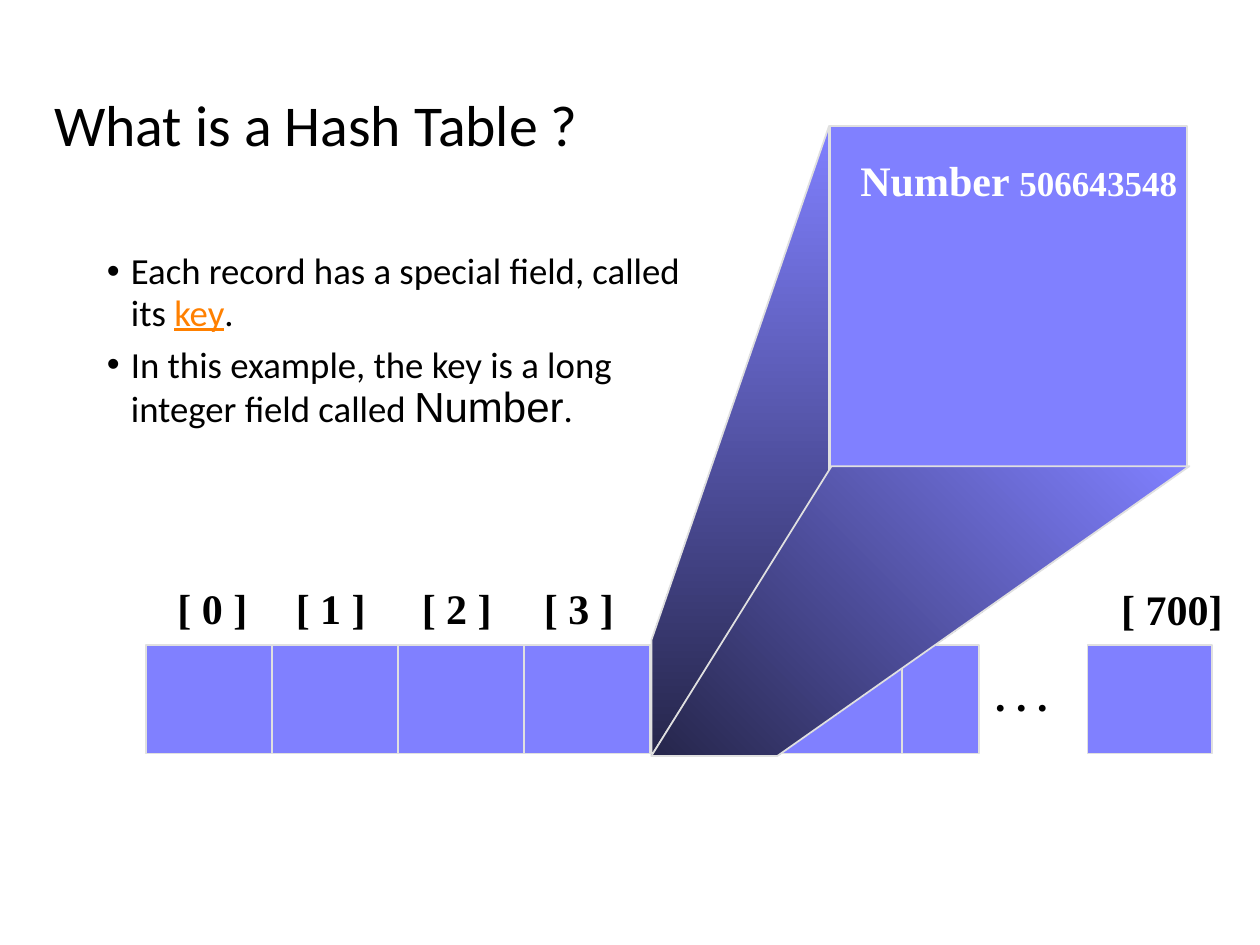
from lxml import etree
from pptx import Presentation
from pptx.dml.color import RGBColor
from pptx.enum.shapes import MSO_CONNECTOR, MSO_SHAPE
from pptx.enum.text import MSO_ANCHOR, MSO_AUTO_SIZE, PP_ALIGN
from pptx.oxml.ns import qn
from pptx.util import Inches, Pt

RECT, STRAIGHT = MSO_SHAPE.RECTANGLE, MSO_CONNECTOR.STRAIGHT
LEFT, CENTER, MIDDLE = PP_ALIGN.LEFT, PP_ALIGN.CENTER, MSO_ANCHOR.MIDDLE
FIT, NO_FIT = MSO_AUTO_SIZE.SHAPE_TO_FIT_TEXT, MSO_AUTO_SIZE.NONE

BLACK = RGBColor(0x00, 0x00, 0x00)
WHITE = RGBColor(0xFF, 0xFF, 0xFF)
ORANGE = RGBColor(0xFF, 0x80, 0x00)
VIOLET = RGBColor(0x80, 0x80, 0xFF)
NAVY = RGBColor(0x26, 0x26, 0x4B)
GREY = RGBColor(0xE0, 0xE0, 0xE0)

BODY = {"name": "Calibri", "size": Pt(21)}
LABEL = {"name": "Times New Roman", "size": Pt(24), "bold": True}


class Deck:
    """Holds the style and the current slide."""

    def __init__(self, prs):
        self.s = prs.slides.add_slide(prs.slide_layouts[5])

    def runs(self, p, parts, base, color=BLACK):
        for text, extra in parts:
            r = p.add_run()
            r.text = text
            for key, value in {**base, **extra}.items():
                if key == "color":
                    r.font.color.rgb = value
                else:
                    setattr(r.font, key, value)
            if "color" not in extra:
                r.font.color.rgb = color

    def outline(self, sp):
        sp.shadow.inherit = False
        sp.line.color.rgb = GREY
        sp.line.width = Pt(1)

    def title(self, text, x, y, w, h):
        sp = self.s.shapes.title
        sp.left, sp.top, sp.width, sp.height = map(Inches, (x, y, w, h))
        tf = sp.text_frame
        tf.vertical_anchor, tf.auto_size = MIDDLE, NO_FIT
        p = tf.paragraphs[0]
        p.alignment, p.line_spacing = LEFT, 0.95
        self.runs(p, [(text, {"size": Pt(33)})], BODY)

    def bullets(self, items, x, y, w, h):
        tf = self.s.shapes.add_textbox(*map(Inches, (x, y, w, h))).text_frame
        tf.word_wrap = True
        for i, (spacing, parts) in enumerate(items):
            p = tf.add_paragraph() if i else tf.paragraphs[0]
            p.line_spacing, p.space_before = spacing, Pt(7)
            self.runs(p, parts, BODY)
            pPr = p._p.get_or_add_pPr()
            pPr.set("marL", str(Inches(0.19)))
            pPr.set("indent", str(-Inches(0.19)))
            etree.SubElement(pPr, qn("a:buFont")).set("typeface", "Arial")
            etree.SubElement(pPr, qn("a:buChar")).set("char", "•")

    def label(self, parts, x, y, w, h=0.5, align=LEFT, color=BLACK):
        tf = self.s.shapes.add_textbox(*map(Inches, (x, y, w, h))).text_frame
        tf.word_wrap, tf.auto_size = False, FIT
        p = tf.paragraphs[0]
        p.alignment, p.line_spacing = align, 0.93
        self.runs(p, parts, LABEL, color)

    def box(self, x, y, w, h):
        sp = self.s.shapes.add_shape(RECT, *map(Inches, (x, y, w, h)))
        sp.fill.solid()
        sp.fill.fore_color.rgb = VIOLET
        self.outline(sp)

    def divider(self, x, top, bottom):
        line = self.s.shapes.add_connector(
            STRAIGHT, *map(Inches, (x, top, x, bottom)))
        line.line.color.rgb = GREY
        line.line.width = Pt(1)
        etree.SubElement(line._element.spPr, qn("a:effectLst"))

    def facet(self, points, angle):
        first, *rest = [(Inches(x), Inches(y)) for x, y in points]
        builder = self.s.shapes.build_freeform(*first)
        builder.add_line_segments(rest, close=True)
        sp = builder.convert_to_shape()
        sp.fill.gradient()
        sp.fill.gradient_angle = angle
        for stop, color, position in zip(sp.fill.gradient_stops, (VIOLET, NAVY), (0, 1)):
            stop.color.rgb = color
            stop.position = position
        self.outline(sp)


def main():
    prs = Presentation()
    prs.slide_width, prs.slide_height = Inches(10), Inches(7.5)
    deck = Deck(prs)

    # Title and explanation
    deck.title("What is a Hash Table ?", 0.33, 0.38, 8.5, 1.25)
    deck.bullets([
        (0.95, [("Each record has a special field, called its ", {}),
                ("key", {"color": ORANGE, "underline": True}),
                (".", {})]),
        (0.9, [("In this example, the key is a long integer field called ", {}),
               ("Number", {"name": "Arial", "size": Pt(24)}),
               (".", {})]),
    ], 0.75, 1.94, 4.95, 4.5)

    # Array cells
    left, top, height, cell = 1.16, 5.12, 0.86, 1
    deck.box(left, top, 6.61, height)
    for i in range(1, 7):
        deck.divider(left + i * cell, top, top + height)
    deck.box(8.63, top, 0.99, height)

    # Index labels
    for i, x in enumerate((1.29, 2.23, 3.23, 4.2)):
        deck.label([(f"[ {i} ]", {})], x, 4.61, 0.79, align=CENTER)
    deck.label([(". . .", {})], 7.8, 5.3, 0.66)
    deck.label([("[ 700]", {})], 8.8, 4.62, 1.07)

    # Enlarged record with its two side faces
    deck.box(6.59, 1, 2.83, 2.71)
    deck.facet([(5.17, 5.08), (6.58, 1), (6.58, 3.75), (5.17, 6)], 270)
    deck.facet([(5.17, 6), (6.6, 3.7), (9.44, 3.7), (6.17, 6)], 225)
    deck.label([("Number ", {}), ("506643548", {"size": Pt(20)})],
               6.73, 1.21, 2.82, 0.47, color=WHITE)

    prs.save("out.pptx")


if __name__ == "__main__":
    main()
